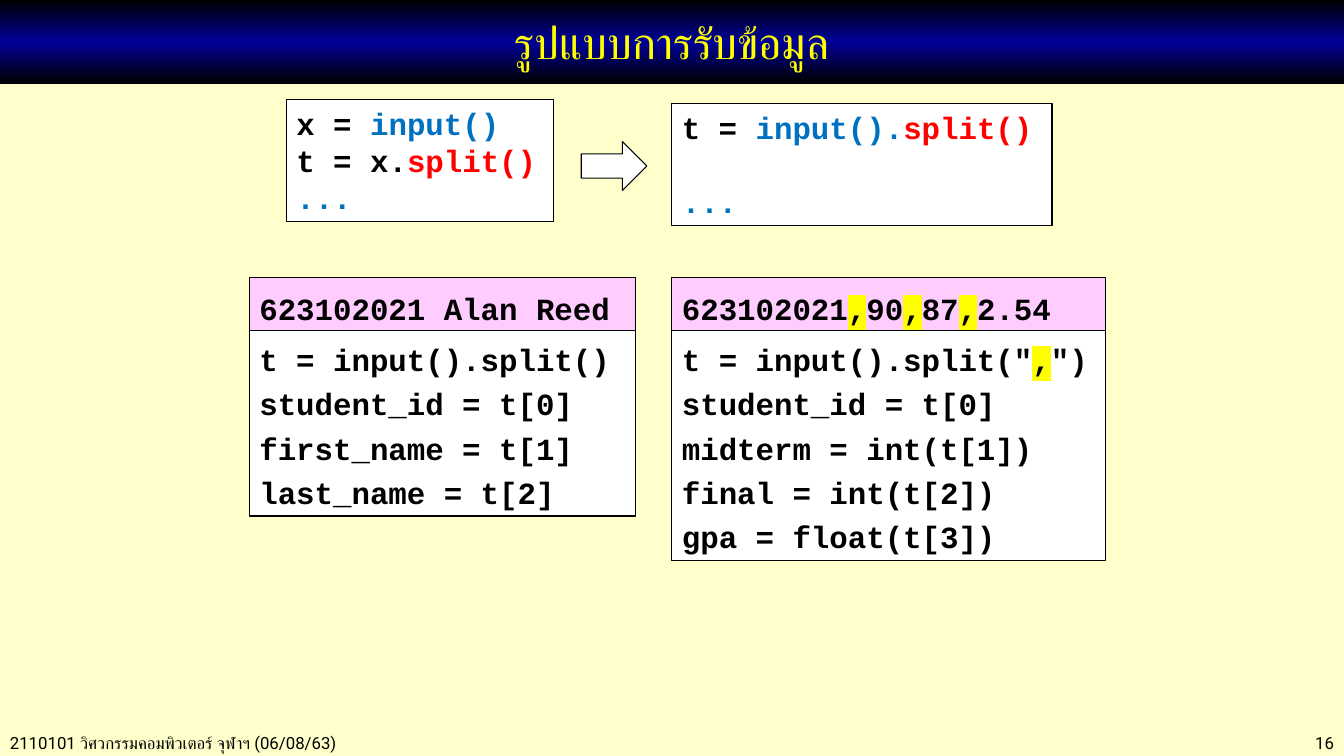
from copy import deepcopy
from dataclasses import dataclass

from lxml import etree
from pptx import Presentation
from pptx.dml.color import RGBColor
from pptx.enum.shapes import MSO_SHAPE
from pptx.enum.text import MSO_ANCHOR, PP_ALIGN
from pptx.oxml.ns import qn
from pptx.util import Pt

RECTANGLE, RIGHT_ARROW = MSO_SHAPE.RECTANGLE, MSO_SHAPE.RIGHT_ARROW
LEFT, CENTER, RIGHT = PP_ALIGN.LEFT, PP_ALIGN.CENTER, PP_ALIGN.RIGHT
MIDDLE, TOP = MSO_ANCHOR.MIDDLE, MSO_ANCHOR.TOP


@dataclass(frozen=True)
class Theme:
    page: str = "FFFFCC"
    black: str = "000000"
    navy: str = "000099"
    title: str = "FFFF00"
    panel: str = "FFFFFF"
    sample: str = "FFCCFF"
    blue: str = "0070C0"
    red: str = "FF0000"
    marker: str = "FFFF00"
    title_font: str = "Calibri"
    code_font: str = "Courier New"
    footer_font: str = "Roboto"
    title_size: float = 32
    code_size: float = 22
    footer_size: float = 12
    line_width: float = 0.75


THEME = Theme()
PAGE_WIDTH, PAGE_HEIGHT = 960, 540
TITLE_HEIGHT = 59.8

TITLE = "รูปแบบการรับข้อมูล"
# Footer: text, left, width, alignment
FOOTERS = [
    ("2110101 วิศวกรรมคอมพิวเตอร์ จุฬาฯ (06/08/63)", 0, 374.4, LEFT),
    ("16", 828, 132, RIGHT),
]

# A line is a list of (text, style) spans
INPUT, SPLIT, MARK, PLAIN = "input", "split", "mark", "plain"
SPAN_COLORS = {INPUT: THEME.blue, SPLIT: THEME.red}

TWO_STEPS = [
    [("x = ", PLAIN), ("input()", INPUT)],
    [("t = x.", PLAIN), ("split()", SPLIT)],
    [("...", INPUT)],
]
ONE_STEP = [
    [("t = ", PLAIN), ("input().", INPUT), ("split()", SPLIT)],
    [("...", INPUT)],
]
# Snippet: lines, left, top, width, skipped lines before the last one
SNIPPETS = [
    (TWO_STEPS, 204.6, 71, 190.8, 0),
    (ONE_STEP, 480, 74, 271.5, 1),
]
SNIPPET_HEIGHT = 87.3
ARROW = (415.2, 101.2, 46.8, 34.8)

# Example: left, width, sample input, code
EXAMPLES = [
    (178.2, 275.8,
     [("623102021 Alan Reed", PLAIN)],
     [[("t = input().split()", PLAIN)],
      [("student_id = t[0]", PLAIN)],
      [("first_name = t[1]", PLAIN)],
      [("last_name = t[2]", PLAIN)]]),
    (480, 309.8,
     [("623102021", PLAIN), (",", MARK), ("90", PLAIN), (",", MARK),
      ("87", PLAIN), (",", MARK), ("2.54", PLAIN)],
     [[('t = input().split("', PLAIN), (",", MARK), ('")', PLAIN)],
      [("student_id = t[0]", PLAIN)],
      [("midterm = int(t[1])", PLAIN)],
      [("final = int(t[2])", PLAIN)],
      [("gpa = float(t[3])", PLAIN)]]),
]
SAMPLE_TOP, SAMPLE_HEIGHT, CODE_TOP = 198.2, 37.8, 234.6
CODE_SPACING = 1.2
LINE_HEIGHT = 26.6
CODE_LINE_HEIGHT = 31.7
BOX_PADDING = 7.2


def rgb(color):
    return RGBColor.from_string(color)


def format_span(span, font, size, color, bold=False):
    span.font.name, span.font.size, span.font.bold = font, Pt(size), bold
    span.font.color.rgb = rgb(color)


def highlight(span):
    """Mark the span; the schema wants the highlight right after the fill."""
    mark = etree.Element(qn("a:highlight"))
    etree.SubElement(mark, qn("a:srgbClr"), val=THEME.marker)
    span.font._element.find(qn("a:solidFill")).addnext(mark)


def add_outlined(page, kind, frame, fill):
    shape = page.shapes.add_shape(kind, *map(Pt, frame))
    shape.shadow.inherit = False
    shape.fill.solid()
    shape.fill.fore_color.rgb = rgb(fill)
    shape.line.color.rgb = rgb(THEME.black)
    shape.line.width = Pt(THEME.line_width)
    return shape


def add_code_box(page, lines, frame, fill, spacing=1.0, skipped=0):
    text_frame = add_outlined(page, RECTANGLE, frame, fill).text_frame
    text_frame.word_wrap = False
    text_frame.vertical_anchor = TOP
    for index, line in enumerate(lines):
        para = text_frame.add_paragraph() if index else text_frame.paragraphs[0]
        para.alignment = LEFT
        para.line_spacing = spacing
        for text, style in line:
            span = para.add_run()
            span.text = text
            color = SPAN_COLORS.get(style, THEME.black)
            format_span(span, THEME.code_font, THEME.code_size, color, True)
            if style == MARK:
                highlight(span)
    if skipped:
        para.space_before = Pt(skipped * LINE_HEIGHT)


def format_title(title):
    title.left, title.top = Pt(0), Pt(0)
    title.width, title.height = Pt(PAGE_WIDTH), Pt(TITLE_HEIGHT)
    title.fill.gradient()
    title.fill.gradient_angle = 90
    first, last = title.fill.gradient_stops
    first.color.rgb = last.color.rgb = rgb(THEME.black)
    first.position, last.position = 0, 1
    first._gs.addnext(deepcopy(first._gs))
    middle = title.fill.gradient_stops[1]
    middle.color.rgb, middle.position = rgb(THEME.navy), 0.5
    title.text_frame.text = TITLE
    title.text_frame.vertical_anchor = MIDDLE
    para = title.text_frame.paragraphs[0]
    para.alignment = CENTER
    format_span(para.runs[0], THEME.title_font, THEME.title_size, THEME.title)


def add_footer(page, text, left, width, alignment):
    box = page.shapes.add_textbox(Pt(left), Pt(519.8), Pt(width), Pt(21.6))
    box.text_frame.word_wrap = True
    box.text_frame.text = text
    para = box.text_frame.paragraphs[0]
    para.alignment = alignment
    format_span(para.runs[0], THEME.footer_font, THEME.footer_size, THEME.black)


def main():
    deck = Presentation()
    deck.slide_width, deck.slide_height = Pt(PAGE_WIDTH), Pt(PAGE_HEIGHT)
    page = deck.slides.add_slide(deck.slide_layouts[5])
    page.background.fill.solid()
    page.background.fill.fore_color.rgb = rgb(THEME.page)
    format_title(page.shapes.title)
    for footer in FOOTERS:
        add_footer(page, *footer)
    for lines, left, top, width, skipped in SNIPPETS:
        frame = (left, top, width, SNIPPET_HEIGHT)
        add_code_box(page, lines, frame, THEME.panel, skipped=skipped)
    add_outlined(page, RIGHT_ARROW, ARROW, THEME.panel)
    for left, width, sample, code in EXAMPLES:
        height = len(code) * CODE_LINE_HEIGHT + BOX_PADDING
        add_code_box(page, code, (left, CODE_TOP, width, height),
                     THEME.panel, CODE_SPACING)
        add_code_box(page, [sample], (left, SAMPLE_TOP, width, SAMPLE_HEIGHT),
                     THEME.sample, CODE_SPACING)
    deck.save("out.pptx")


if __name__ == "__main__":
    main()
